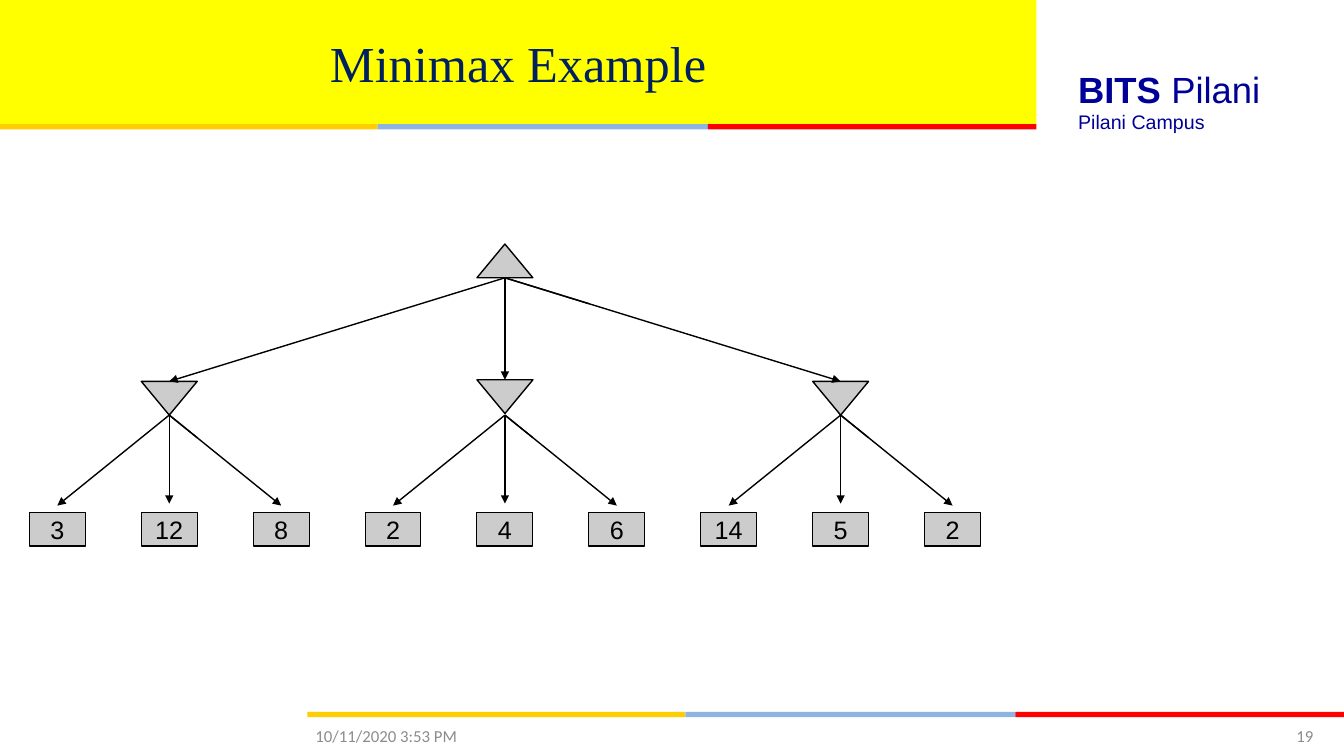
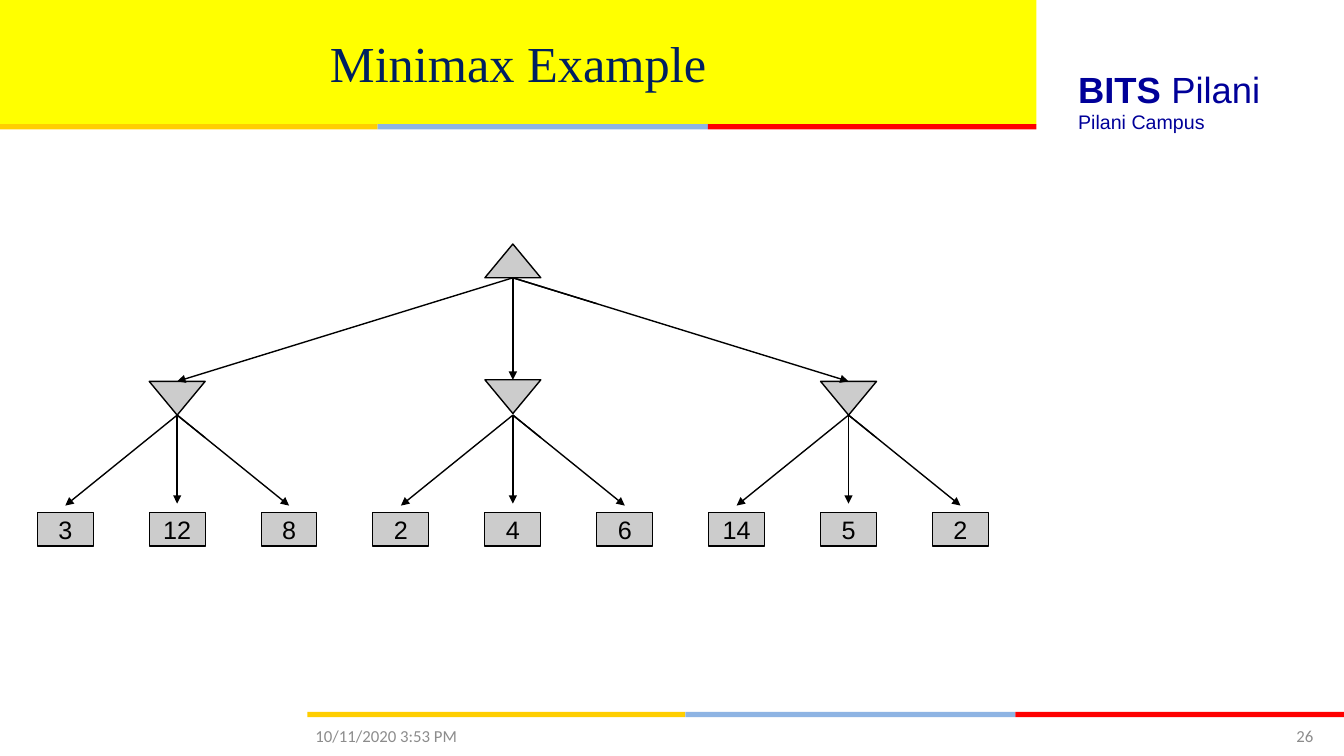
import pptx
import pptx.util
import pptx.dml.color
import pptx.enum.shapes
import pptx.enum.text
import pptx.oxml
import pptx.oxml.ns

Cm = pptx.util.Cm
Pt = pptx.util.Pt
RGB = pptx.dml.color.RGBColor
KIND = pptx.enum.shapes.MSO_SHAPE
ALIGN = pptx.enum.text.PP_ALIGN
MIDDLE = pptx.enum.text.MSO_ANCHOR.MIDDLE

# Shared colours
YELLOW = RGB(0xFF, 0xFF, 0x00)
GOLD = RGB(0xFF, 0xCE, 0x00)
SKY = RGB(0x8E, 0xB4, 0xE3)
RED = RGB(0xFF, 0x00, 0x00)
NAVY = RGB(0x00, 0x20, 0x60)
BLUE = RGB(0x00, 0x00, 0x99)
GREY = RGB(0x8C, 0x8C, 0x8C)
NODE = RGB(0xCC, 0xCC, 0xCC)
BLACK = RGB(0x00, 0x00, 0x00)

# Shared sizes in cm
WIDE, HIGH = 33.87, 19.05
HEAD_W, HEAD_H = 26.12, 3.13
STRIPE = [(GOLD, 9.52), (SKY, 8.32), (RED, 8.28)]
STRIPE_H = 0.13

# Tree sizes in cm
NODE_W, NODE_H = 1.41, 0.85
STEP = 2.82
MARK = 0.84
LEAVES = [["3", "12", "8"], ["2", "4", "6"], ["14", "5", "2"]]


def add_run(para, text, size, font, color, bold=False):
    run = para.add_run()
    run.text = text
    run.font.size = Pt(size)
    run.font.name = font
    run.font.color.rgb = color
    run.font.bold = bold


def add_shape(slide, kind, left, top, width, height, fill, line=None):
    shape = slide.shapes.add_shape(kind, Cm(left), Cm(top), Cm(width), Cm(height))
    shape.shadow.inherit = False
    shape.fill.solid()
    shape.fill.fore_color.rgb = fill
    if line is None:
        shape.line.fill.background()
    else:
        shape.line.color.rgb = BLACK
        shape.line.width = Pt(line)
    return shape


def add_text(slide, left, top, width, height, align=ALIGN.LEFT):
    box = slide.shapes.add_textbox(Cm(left), Cm(top), Cm(width), Cm(height))
    box.text_frame.word_wrap = True
    para = box.text_frame.paragraphs[0]
    para.alignment = align
    return box.text_frame, para


def add_line(slide, x1, y1, x2, y2, arrow=False):
    line = slide.shapes.add_connector(
        pptx.enum.shapes.MSO_CONNECTOR.STRAIGHT, Cm(x1), Cm(y1), Cm(x2), Cm(y2))
    line.line.color.rgb = BLACK
    line.line.width = Pt(1)
    if arrow:
        tail = pptx.oxml.parse_xml(
            "<a:tailEnd %s type='triangle'/>" % pptx.oxml.ns.nsdecls("a"))
        line.line._get_or_add_ln().append(tail)
    props = line._element.spPr
    props.append(pptx.oxml.parse_xml("<a:effectLst %s/>" % pptx.oxml.ns.nsdecls("a")))


def add_stripe(slide, left, top):
    for color, width in STRIPE:
        add_shape(slide, KIND.RECTANGLE, left, top, width, STRIPE_H, color)
        left += width


def add_head(slide, text):
    # Title on its yellow band
    title = slide.shapes.title
    title.left, title.top = Cm(0), Cm(0)
    title.width, title.height = Cm(HEAD_W), Cm(HEAD_H)
    title.fill.solid()
    title.fill.fore_color.rgb = YELLOW
    frame = title.text_frame
    frame.auto_size = pptx.enum.text.MSO_AUTO_SIZE.NONE
    frame.vertical_anchor = MIDDLE
    frame.paragraphs[0].alignment = ALIGN.CENTER
    add_run(frame.paragraphs[0], text, 36, "Times New Roman", NAVY)
    add_stripe(slide, 0, HEAD_H)

    # School name
    para = add_text(slide, 26.92, 1.57, 6.6, 1.37)[1]
    add_run(para, "BITS ", 26, "Arial", BLUE, True)
    add_run(para, "Pilani", 26, "Arial", BLUE)
    para = add_text(slide, 26.92, 2.64, 6.07, 0.86)[1]
    add_run(para, "Pilani Campus", 14, "Arial", BLUE)


def add_foot(slide, date, page):
    add_stripe(slide, WIDE - HEAD_W, 17.94)
    parts = [(date, 7.7, 7.9, ALIGN.LEFT), (page, 29.64, 3.71, ALIGN.RIGHT)]
    for text, left, width, align in parts:
        frame, para = add_text(slide, left, 18.03, width, 1.02, align)
        frame.vertical_anchor = MIDDLE
        add_run(para, text, 12, "Calibri", GREY)


def add_peak(slide, mid, top, down=False):
    peak = add_shape(slide, KIND.ISOSCELES_TRIANGLE, mid - NODE_W / 2, top,
                     NODE_W, NODE_H, NODE, 1)
    peak.rotation = 180 if down else 0


def add_leaf(slide, mid, top, text):
    leaf = add_shape(slide, KIND.RECTANGLE, mid - NODE_W / 2, top,
                     NODE_W, NODE_H, NODE, 0.75)
    frame = leaf.text_frame
    frame.word_wrap = False
    frame.vertical_anchor = MIDDLE
    frame.paragraphs[0].alignment = ALIGN.CENTER
    add_run(frame.paragraphs[0], text, 18, "Arial", BLACK)


def add_fan(slide, mid, top, gap, drop, lift):
    # Three arrows; the middle one ends a little higher
    for side in (-1, 0, 1):
        low = top + drop - (0 if side else lift)
        add_line(slide, mid, top, mid + side * gap, low, True)
    # Short strokes at the start of the middle and right arrows
    add_line(slide, mid, top, mid, top + MARK)
    add_line(slide, mid, top, mid + gap / 4, top + drop / 4)


def add_tree(slide, left, top):
    # Root, then three groups of three leaves
    root = left + NODE_W / 2 + 4 * STEP
    add_peak(slide, root, top)
    for col, group in enumerate(LEAVES):
        mid = root + (col - 1) * 3 * STEP
        rise = 0.04 if col == 1 else 0
        add_peak(slide, mid, top + 3.46 - rise, True)
        add_fan(slide, mid, top + 4.31, STEP, 2.28, 0.05)
        for side, text in enumerate(group, -1):
            add_leaf(slide, mid + side * STEP, top + 6.76, text)
    add_fan(slide, root, top + NODE_H, 3 * STEP, 2.61, 0.04)


def add_slide(deck, left, page):
    slide = deck.slides.add_slide(deck.slide_layouts[5])
    add_head(slide, "Minimax Example")
    add_tree(slide, left, 6.15)
    add_foot(slide, "10/11/2020 3:53 PM", page)


def main():
    deck = pptx.Presentation()
    deck.slide_width, deck.slide_height = Cm(WIDE), Cm(HIGH)
    for left, page in [(0.74, "19"), (0.94, "26")]:
        add_slide(deck, left, page)
    deck.save("out.pptx")


if __name__ == "__main__":
    main()
